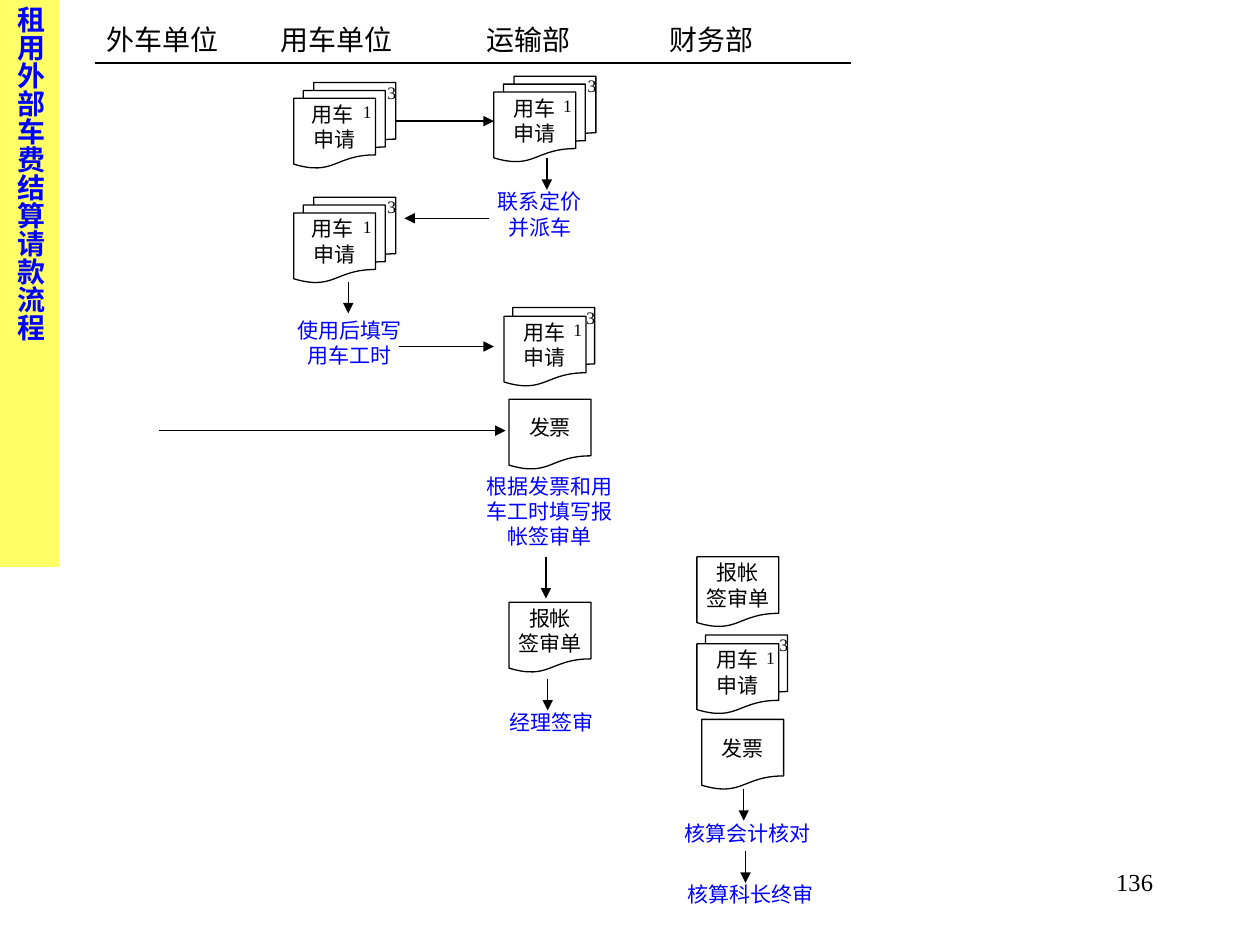
from dataclasses import dataclass

from lxml import etree
from pptx import Presentation
from pptx.dml.color import RGBColor
from pptx.enum import shapes, text
from pptx.oxml import ns
from pptx.util import Pt

FONT = "Times New Roman"
BLACK, BLUE, WHITE, YELLOW = "000000", "0000FF", "FFFFFF", "FFFF66"
DOC_W, DOC_H = 46.8, 40.3
BACK_SHEETS = {1: [], 2: [(5, -5)], 3: [(11.5, -9), (5.5, -4.5)]}
LEFT, CENTER = text.PP_ALIGN.LEFT, text.PP_ALIGN.CENTER


@dataclass
class Document:
    x: float
    y: float
    label: str
    sheets: int = 1


@dataclass
class Step:
    x: float
    y: float
    w: float
    h: float
    label: str


@dataclass
class Arrow:
    x1: float
    y1: float
    x2: float
    y2: float


def rgb(color: str) -> RGBColor:
    return RGBColor.from_string(color)


def write(tf, content: str, *, size=12, color=BLACK, bold=False, align=LEFT, tabs=()):
    """Fill a text frame, one paragraph per line."""
    for i, line in enumerate(content.split("\n")):
        p = tf.paragraphs[0] if i == 0 else tf.add_paragraph()
        p.alignment = align
        if tabs:
            tab_list = etree.SubElement(p._p.get_or_add_pPr(), ns.qn("a:tabLst"))
            for pos in tabs:
                etree.SubElement(tab_list, ns.qn("a:tab"), pos=str(Pt(pos)), algn="l")
        r = p.add_run()
        r.text = line
        r.font.name, r.font.size, r.font.bold = FONT, Pt(size), bold
        r.font.color.rgb = rgb(color)


def add_text(s, x: float, y: float, w: float, h: float, content: str, **fmt):
    tf = s.shapes.add_textbox(Pt(x), Pt(y), Pt(w), Pt(h)).text_frame
    tf.word_wrap = True
    write(tf, content, **fmt)


def add_line(s, a: Arrow, head: bool = True):
    cn = s.shapes.add_connector(shapes.MSO_CONNECTOR.STRAIGHT,
                                Pt(a.x1), Pt(a.y1), Pt(a.x2), Pt(a.y2))
    cn.line.color.rgb = rgb(BLACK)
    cn.line.width = Pt(0.75)
    if head:
        etree.SubElement(cn.line._get_or_add_ln(), ns.qn("a:tailEnd"), type="triangle")
    etree.SubElement(cn._element.spPr, ns.qn("a:effectLst"))


def add_sheet(s, x: float, y: float):
    sp = s.shapes.add_shape(shapes.MSO_SHAPE.FLOWCHART_DOCUMENT,
                            Pt(x), Pt(y), Pt(DOC_W), Pt(DOC_H))
    sp.shadow.inherit = False
    sp.fill.solid()
    sp.fill.fore_color.rgb = rgb(WHITE)
    sp.line.color.rgb = rgb(BLACK)
    sp.line.width = Pt(0.75)
    return sp


def add_document(s, d: Document):
    """Draw the back sheets, the labelled front sheet and the copy numbers."""
    backs = BACK_SHEETS[d.sheets]
    for dx, dy in backs:
        add_sheet(s, d.x + dx, d.y + dy)
    tf = add_sheet(s, d.x, d.y).text_frame
    tf.word_wrap = False
    tf.vertical_anchor = text.MSO_ANCHOR.MIDDLE
    write(tf, d.label, align=CENTER)
    if backs:
        dx, dy = backs[0]
        add_text(s, d.x + 32.5, d.y - 1.8, 18, 19.4, "1", size=10)
        add_text(s, d.x + dx + 35, d.y + dy - 4, 18, 19.4, "3", size=10)


REQUEST, INVOICE, CLAIM = "用车\n申请", "发票", "报帐\n签审单"
USER_REQUEST = "用车 \n申请"

DOCUMENTS = [
    Document(282.2, 52.6, REQUEST, 3),
    Document(167.8, 56.2, USER_REQUEST, 3),
    Document(167.8, 121.7, USER_REQUEST, 3),
    Document(288, 180.7, REQUEST, 2),
    Document(290.9, 228.2, INVOICE),
    Document(290.9, 344.2, CLAIM),
    Document(398.2, 318.2, CLAIM),
    Document(398.2, 367.9, REQUEST, 2),
    Document(401, 411.1, INVOICE),
]
STEPS = [
    Step(275, 104.4, 67, 36, "联系定价并派车"),
    Step(159.8, 177.8, 80, 36, "使用后填写用车工时"),
    Step(267.8, 267.1, 92.9, 50.4, "根据发票和用车工时填写报帐签审单"),
    Step(281.5, 401.8, 67, 21.6, "经理签审"),
    Step(380.9, 465.1, 92.9, 21.6, "核算会计核对"),
    Step(382.3, 500.4, 92.9, 21.6, "核算科长终审"),
]
ARROWS = [
    Arrow(222.5, 69.2, 282.2, 69.2),
    Arrow(312.5, 90.5, 312.5, 108.5),
    Arrow(279.2, 124.7, 231.1, 124.7),
    Arrow(199, 161.1, 199, 179.1),
    Arrow(228.2, 198, 282.2, 198),
    Arrow(90.7, 246.1, 288.9, 246.1),
    Arrow(312, 318.1, 312, 342),
    Arrow(313, 388, 313, 406),
    Arrow(425, 451, 425, 469),
    Arrow(426, 486.5, 426, 504.5),
]


def main():
    prs = Presentation()
    prs.slide_width, prs.slide_height = Pt(720), Pt(540)
    s = prs.slides.add_slide(prs.slide_layouts[5])

    # Vertical title band
    title = s.shapes.title
    title.left, title.top, title.width, title.height = Pt(0), Pt(0), Pt(34), Pt(324)
    title.fill.solid()
    title.fill.fore_color.rgb = rgb(YELLOW)
    tf = title.text_frame
    tf.auto_size = text.MSO_AUTO_SIZE.NONE
    tf.vertical_anchor = text.MSO_ANCHOR.TOP
    tf._txBody.bodyPr.set("vert", "eaVert")
    write(tf, "租用外部车费结算请款流程", size=16, color=BLUE, bold=True,
          align=text.PP_ALIGN.JUSTIFY)

    # Department headings
    add_text(s, 54, 9.4, 455.8, 26.6, "外车单位\t用车单位\t运输部\t财务部",
             size=16, tabs=(99.4, 217, 321.5))
    add_line(s, Arrow(54, 36, 486, 36), head=False)

    # Flow
    for arrow in ARROWS:
        add_line(s, arrow)
    for document in DOCUMENTS:
        add_document(s, document)
    for step in STEPS:
        add_text(s, step.x, step.y, step.w, step.h, step.label, color=BLUE, align=CENTER)

    # Page number
    add_text(s, 516, 492, 150, 36, "136", size=14, align=text.PP_ALIGN.RIGHT)

    prs.save("out.pptx")


if __name__ == "__main__":
    main()
